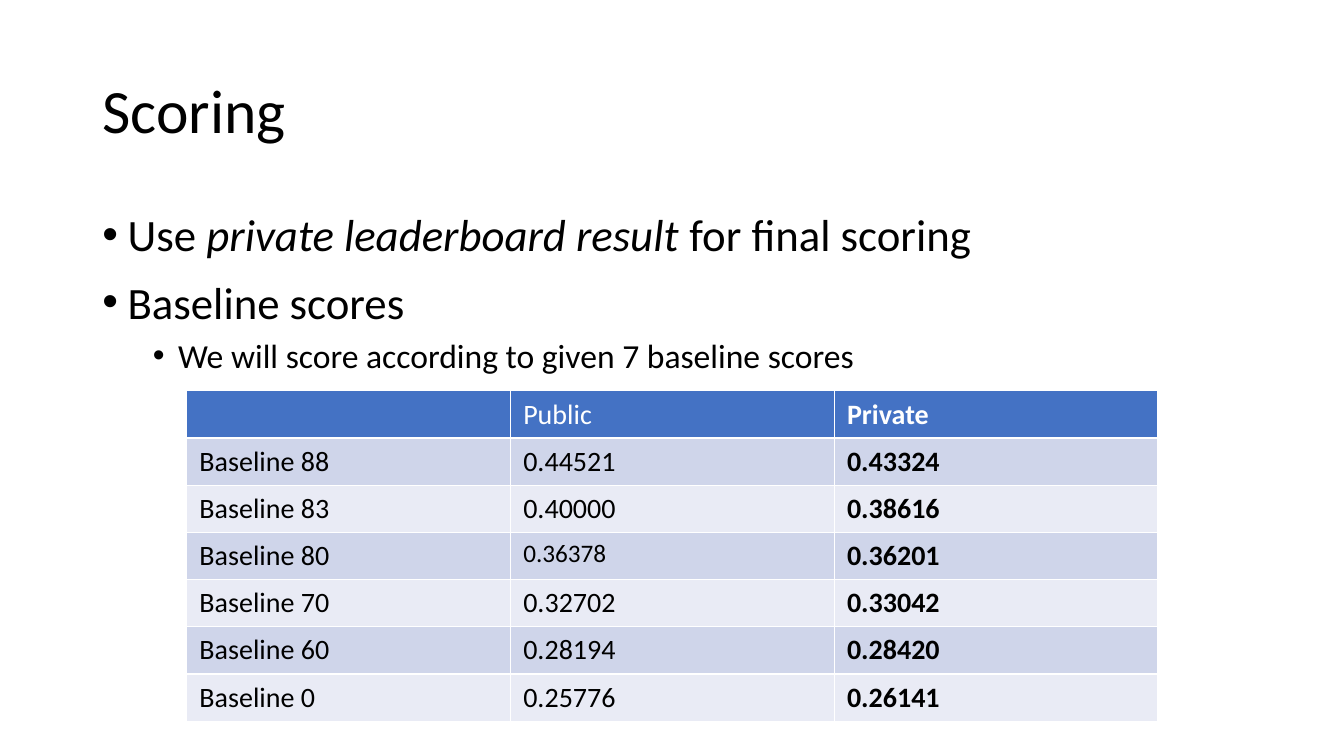
from lxml.etree import SubElement
from pptx import Presentation
from pptx.dml.color import RGBColor
from pptx.enum.text import MSO_ANCHOR, MSO_AUTO_SIZE, PP_ALIGN
from pptx.oxml.ns import qn
from pptx.util import Pt

TITLE = "Scoring"
BULLETS = [
    (0, [("Use ", False), ("private leaderboard result ", True), ("for final scoring", False)]),
    (0, [("Baseline scores", False)]),
    (1, [("We will score according to given 7 baseline scores", False)]),
]
SCORES = [
    ("", "Public", "Private"),
    ("Baseline 88", "0.44521", "0.43324"),
    ("Baseline 83", "0.40000", "0.38616"),
    ("Baseline 80", "0.36378", "0.36201"),
    ("Baseline 70", "0.32702", "0.33042"),
    ("Baseline 60", "0.28194", "0.28420"),
    ("Baseline 0", "0.25776", "0.26141"),
]
SMALL_SCORE = "0.36378"
COLORS = {"text": "000000", "white": "FFFFFF", "header": "4472C4", "odd": "CFD5EA", "even": "E9EBF5"}
FONT = "Calibri"
LEVELS = [
    {"size": 32, "before": 10, "margin": 18},
    {"size": 24, "before": 5, "margin": 54},
]
HANGING = 18
COLUMN_WIDTH, ROW_HEIGHT = 231.3, 33.6
CELL_INSET_X, CELL_INSET_Y = 9.2, 4.6


def style(font, size, color="text", bold=False, italic=False):
    font.name = FONT
    font.size = Pt(size)
    font.bold = bold
    font.italic = italic
    font.color.rgb = RGBColor.from_string(COLORS[color])


def place(box, left, top, width, height):
    box.left, box.top, box.width, box.height = Pt(left), Pt(top), Pt(width), Pt(height)
    box.text_frame.word_wrap = True
    box.text_frame.auto_size = MSO_AUTO_SIZE.NONE


def add_bullet(para, margin):
    properties = para._p.get_or_add_pPr()
    properties.set("marL", str(Pt(margin)))
    properties.set("indent", str(-Pt(HANGING)))
    SubElement(properties, qn("a:buFont"), typeface="Arial")
    SubElement(properties, qn("a:buChar"), char="•")


def add_borders(cell):
    properties = cell._tc.get_or_add_tcPr()
    for side in ("lnL", "lnR", "lnT", "lnB"):
        line = SubElement(properties, qn(f"a:{side}"), w=str(Pt(1)))
        fill = SubElement(line, qn("a:solidFill"))
        SubElement(fill, qn("a:srgbClr"), val=COLORS["white"])


def fill_title(box):
    place(box, 66, 28.75, 828, 104.4)
    box.text_frame.text = TITLE
    box.text_frame.vertical_anchor = MSO_ANCHOR.MIDDLE
    para = box.text_frame.paragraphs[0]
    para.alignment = PP_ALIGN.LEFT
    para.line_spacing = 0.9
    style(para.runs[0].font, 44)


def fill_bullets(box):
    place(box, 66, 144, 828, 342.6)
    frame = box.text_frame
    for index, (level, spans) in enumerate(BULLETS):
        para = frame.add_paragraph() if index else frame.paragraphs[0]
        look = LEVELS[level]
        para.level = level
        para.space_before = Pt(look["before"] if index else 0)
        add_bullet(para, look["margin"])
        for text, italic in spans:
            span = para.add_run()
            span.text = text
            style(span.font, look["size"], italic=italic)


def add_scores(page):
    rows, columns = len(SCORES), len(SCORES[0])
    table = page.shapes.add_table(
        rows, columns, Pt(133.3), Pt(279.2), Pt(columns * COLUMN_WIDTH), Pt(rows * ROW_HEIGHT)
    ).table
    for column in table.columns:
        column.width = Pt(COLUMN_WIDTH)
    for row_index, values in enumerate(SCORES):
        table.rows[row_index].height = Pt(ROW_HEIGHT)
        shade = "header" if row_index == 0 else ("even", "odd")[row_index % 2]
        for column_index, value in enumerate(values):
            cell = table.cell(row_index, column_index)
            cell.margin_left = cell.margin_right = Pt(CELL_INSET_X)
            cell.margin_top = cell.margin_bottom = Pt(CELL_INSET_Y)
            add_borders(cell)
            cell.fill.solid()
            cell.fill.fore_color.rgb = RGBColor.from_string(COLORS[shade])
            cell.text_frame.text = value
            for span in cell.text_frame.paragraphs[0].runs:
                style(
                    span.font,
                    18 if value == SMALL_SCORE else 20,
                    "text" if row_index else "white",
                    bold=column_index == columns - 1,
                )


def main():
    deck = Presentation()
    deck.slide_width, deck.slide_height = Pt(960), Pt(540)
    page = deck.slides.add_slide(deck.slide_layouts[1])
    fill_title(page.shapes.title)
    fill_bullets(page.placeholders[1])
    add_scores(page)
    deck.save("out.pptx")


if __name__ == "__main__":
    main()
